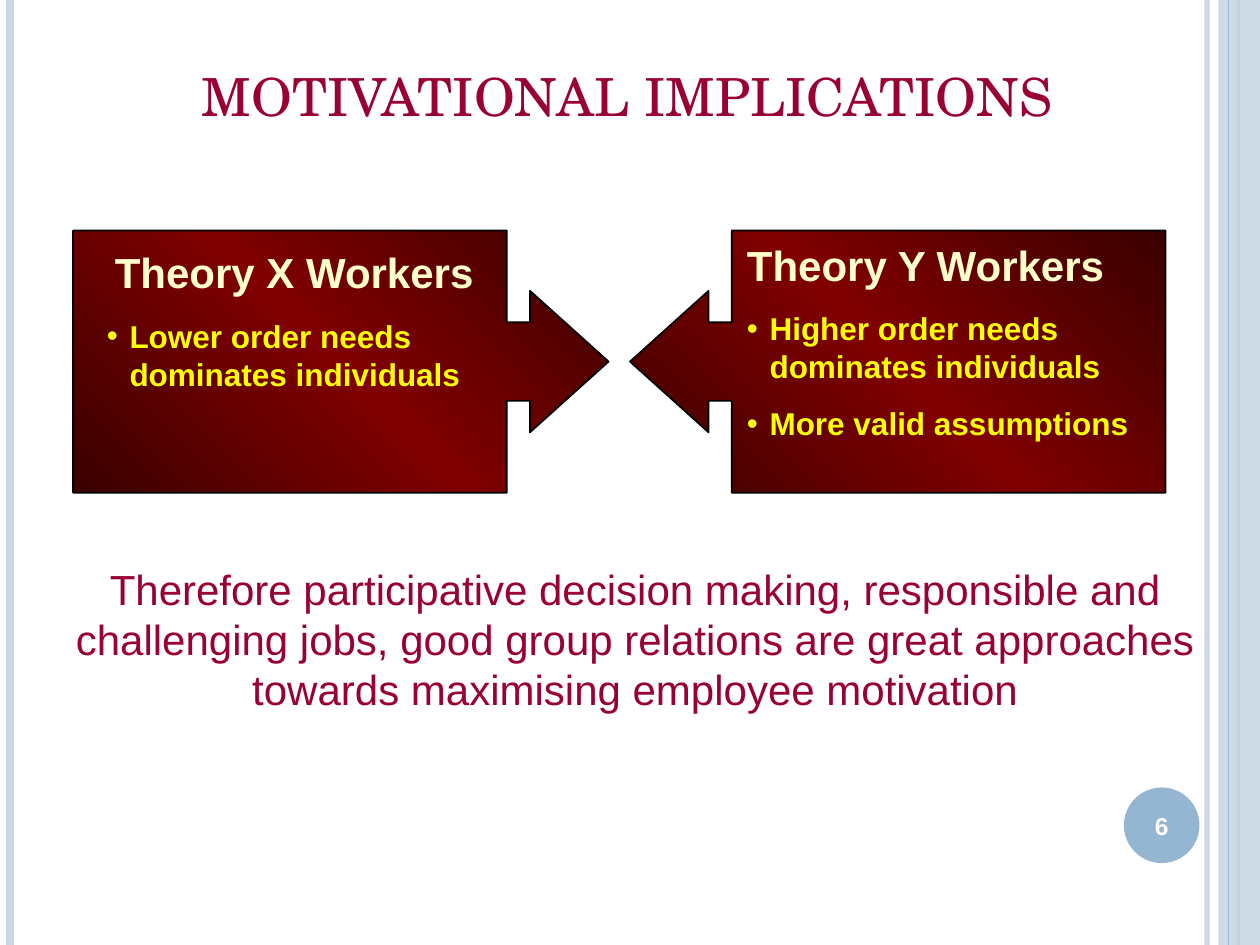
"""Builds a slide that contrasts Theory X and Theory Y workers."""
from copy import deepcopy
from dataclasses import dataclass

from lxml.etree import SubElement
from pptx import Presentation
from pptx.dml.color import RGBColor
from pptx.enum.shapes import MSO_CONNECTOR, MSO_SHAPE
from pptx.enum.text import MSO_ANCHOR, MSO_AUTO_SIZE, PP_ALIGN
from pptx.oxml.ns import qn
from pptx.util import Inches, Pt

COLORS = {
    "pale": "C8D7E5", "blue": "94B6D2", "white": "FFFFFF", "black": "000000",
    "crimson": "990033", "dark_red": "3B0000", "red": "800000",
    "cream": "FFFFCC", "yellow": "FFFF00",
}
BODY_FONT = "Arial"
TITLE_FONT = "TeX Gyre Schola"


@dataclass
class Rule:
    x: float
    color: str
    width: float
    alpha: int = 100


@dataclass
class Callout:
    shape: MSO_SHAPE
    left: float
    text_box: tuple[float, float, float, float]
    heading: str
    align: PP_ALIGN
    bullets: list[str]


BACK_RULES = [Rule(9.58, "pale", 3, 93), Rule(0.08, "pale", 4.5), Rule(9.83, "blue", 1.5)]
FRONT_RULE = Rule(9.75, "blue", 0.75)
CALLOUTS = [
    Callout(MSO_SHAPE.RIGHT_ARROW_CALLOUT, 0.58, (0.75, 1.91, 3.17, 1.26),
            "Theory X Workers", PP_ALIGN.CENTER,
            ["Lower order needs dominates individuals"]),
    Callout(MSO_SHAPE.LEFT_ARROW_CALLOUT, 5, (5.83, 1.85, 3.5, 2.17),
            "Theory Y Workers", PP_ALIGN.LEFT,
            ["Higher order needs dominates individuals", "More valid assumptions"]),
]
CONCLUSION = ("Therefore participative decision making, responsible and challenging jobs, "
              "good group relations are great approaches towards maximising employee motivation")


def rgb(name: str) -> RGBColor:
    return RGBColor.from_string(COLORS[name])


def set_alpha(element, percent: int) -> None:
    for clr in element.iter(qn("a:srgbClr")):
        SubElement(clr, qn("a:alpha")).set("val", str(percent * 1000))


def format_runs(p, size: float, color: str, bold: bool = False, font: str = BODY_FONT) -> None:
    for r in p.runs:
        r.font.size = Pt(size)
        r.font.name = font
        r.font.bold = bold
        r.font.color.rgb = rgb(color)


def add_rule(slide, rule: Rule) -> None:
    x = Inches(rule.x)
    line = slide.shapes.add_connector(MSO_CONNECTOR.STRAIGHT, x, 0, x, Inches(7.5))
    line.line.color.rgb = rgb(rule.color)
    line.line.width = Pt(rule.width)
    if rule.alpha < 100:
        set_alpha(line.line._ln, rule.alpha)
    SubElement(line._element.spPr, qn("a:effectLst"))


def add_solid(slide, kind: MSO_SHAPE, box: tuple, color: str):
    sp = slide.shapes.add_shape(kind, *map(Inches, box))
    sp.shadow.inherit = False
    sp.fill.solid()
    sp.fill.fore_color.rgb = rgb(color)
    sp.line.fill.background()
    return sp


def add_text_box(slide, box: tuple):
    tf = slide.shapes.add_textbox(*map(Inches, box)).text_frame
    tf.word_wrap = True
    return tf


def set_hanging(p, bullet: bool) -> None:
    pPr = p._p.get_or_add_pPr()
    pPr.set("marL", str(Inches(0.18)))
    pPr.set("indent", str(Inches(-0.18)))
    if bullet:
        bu_clr = SubElement(pPr, qn("a:buClr"))
        SubElement(bu_clr, qn("a:srgbClr")).set("val", COLORS["yellow"])
        SubElement(pPr, qn("a:buFont")).set("typeface", BODY_FONT)
        SubElement(pPr, qn("a:buChar")).set("char", "•")


def fill_gradient(sp) -> None:
    sp.fill.gradient()
    sp.fill.gradient_angle = 225
    gs_list = sp._element.spPr.find(qn("a:gradFill")).find(qn("a:gsLst"))
    gs_list.insert(1, deepcopy(gs_list[0]))
    stops = zip(sp.fill.gradient_stops, (0, 0.5, 1), ("dark_red", "red", "dark_red"))
    for stop, position, color in stops:
        stop.position = position
        stop.color.rgb = rgb(color)


def add_callout_shape(slide, callout: Callout) -> None:
    sp = slide.shapes.add_shape(callout.shape, Inches(callout.left), Inches(1.83),
                                Inches(4.25), Inches(2.08))
    sp.shadow.inherit = False
    for i, value in enumerate((0.3, 0.27, 0.3, 0.81)):
        sp.adjustments[i] = value
    fill_gradient(sp)
    sp.line.color.rgb = rgb("black")
    sp.line.width = Pt(1)


def add_callout_text(slide, callout: Callout) -> None:
    tf = add_text_box(slide, callout.text_box)
    p = tf.paragraphs[0]
    p.text = callout.heading
    set_hanging(p, bullet=False)
    p.alignment = callout.align
    format_runs(p, 24, "cream", bold=True)
    for text in callout.bullets:
        p = tf.add_paragraph()
        p.text = text
        set_hanging(p, bullet=True)
        p.space_before = Pt(11.2)
        format_runs(p, 18, "yellow", bold=True)


def add_title(slide) -> None:
    title = slide.shapes.title
    title.left, title.top, title.width, title.height = map(Inches, (1.5, 0.08, 8.17, 0.98))
    tf = title.text_frame
    tf.text = "MOTIVATIONAL IMPLICATIONS"
    tf.auto_size = MSO_AUTO_SIZE.NONE
    tf.vertical_anchor = MSO_ANCHOR.BOTTOM
    tf.paragraphs[0].alignment = PP_ALIGN.LEFT
    format_runs(tf.paragraphs[0], 30, "crimson", font=TITLE_FONT)


def add_page_number(slide) -> None:
    sp = add_solid(slide, MSO_SHAPE.OVAL, (8.92, 6.25, 0.6, 0.6), "blue")
    tf = sp.text_frame
    tf.text = "6"
    tf.vertical_anchor = MSO_ANCHOR.MIDDLE
    tf.paragraphs[0].alignment = PP_ALIGN.CENTER
    format_runs(tf.paragraphs[0], 14, "white", bold=True)


def add_conclusion(slide) -> None:
    tf = add_text_box(slide, (0.33, 4.42, 9.42, 1.3))
    tf.text = CONCLUSION
    tf.paragraphs[0].alignment = PP_ALIGN.CENTER
    format_runs(tf.paragraphs[0], 24, "crimson")


def main() -> None:
    prs = Presentation()
    prs.slide_width, prs.slide_height = Inches(10), Inches(7.5)
    slide = prs.slides.add_slide(prs.slide_layouts[5])
    for rule in BACK_RULES:
        add_rule(slide, rule)
    band = add_solid(slide, MSO_SHAPE.RECTANGLE, (9.67, 0, 0.33, 7.5), "pale")
    set_alpha(band._element.spPr, 87)
    add_rule(slide, FRONT_RULE)
    add_page_number(slide)
    add_title(slide)
    for callout in CALLOUTS:
        add_callout_shape(slide, callout)
        add_callout_text(slide, callout)
    add_conclusion(slide)
    prs.save("out.pptx")


if __name__ == "__main__":
    main()
